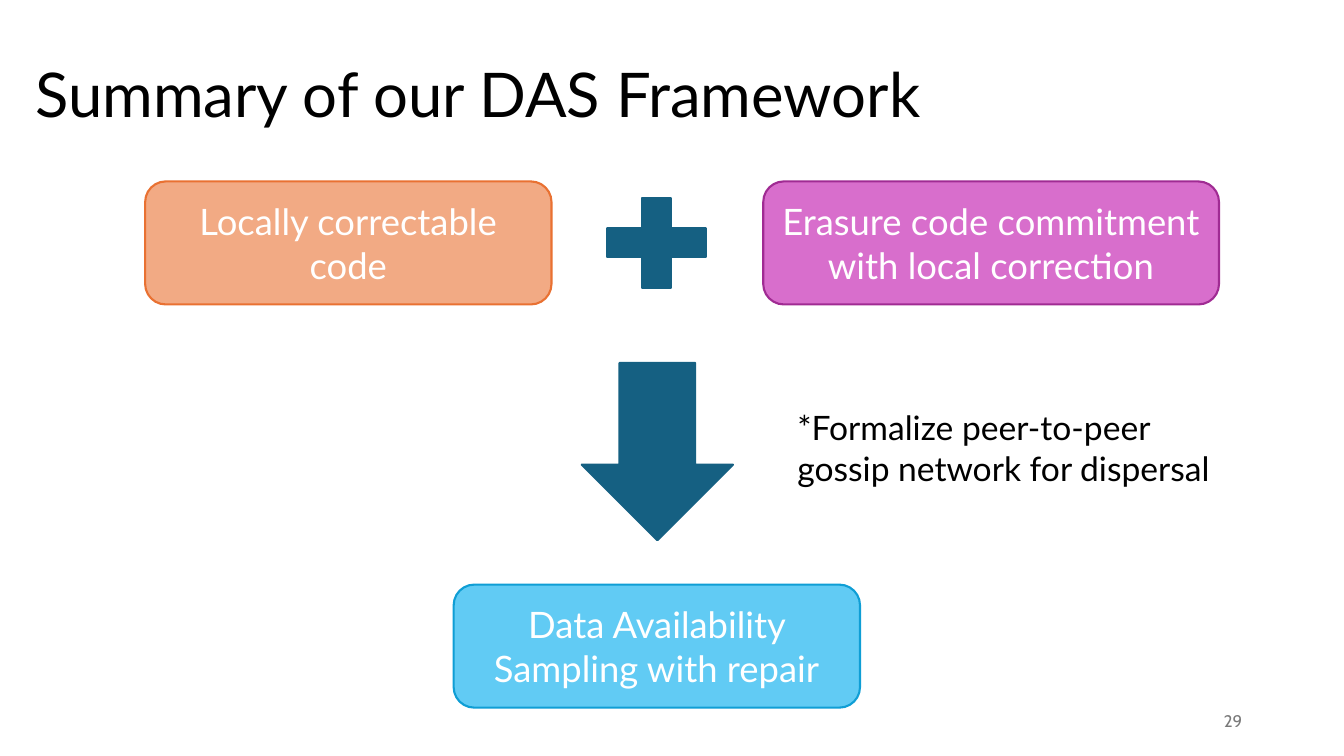
from dataclasses import dataclass

from pptx import Presentation
from pptx.dml.color import RGBColor
from pptx.enum.shapes import MSO_SHAPE
from pptx.enum.text import MSO_ANCHOR, MSO_AUTO_SIZE, PP_ALIGN
from pptx.shapes.autoshape import Shape
from pptx.slide import Slide
from pptx.util import Emu, Pt

EMU_PER_PX = 9144  # 100 px to the inch
DARK_TEAL = "156082"


@dataclass(frozen=True)
class Box:
    left: int
    top: int
    width: int
    height: int

    def emu(self) -> tuple[Emu, Emu, Emu, Emu]:
        return px(self.left), px(self.top), px(self.width), px(self.height)


@dataclass(frozen=True)
class Block:
    kind: MSO_SHAPE
    box: Box
    fill: str
    line: str
    text: str = ""


BLOCKS = [
    Block(MSO_SHAPE.ROUNDED_RECTANGLE, Box(144, 180, 403, 122),
          "F2AA84", "E97132", "Locally correctable code"),
    Block(MSO_SHAPE.ROUNDED_RECTANGLE, Box(757, 180, 452, 122),
          "D86ECC", "A02B93", "Erasure code commitment with local correction"),
    Block(MSO_SHAPE.MATH_PLUS, Box(584, 180, 134, 122), DARK_TEAL, DARK_TEAL),
    Block(MSO_SHAPE.DOWN_ARROW, Box(577, 360, 150, 176), DARK_TEAL, DARK_TEAL),
    Block(MSO_SHAPE.ROUNDED_RECTANGLE, Box(450, 580, 403, 122),
          "61CBF4", "0F9ED5", "Data Availability Sampling with repair"),
]


def px(length: int) -> Emu:
    return Emu(length * EMU_PER_PX)


def color(value: str) -> RGBColor:
    return RGBColor.from_string(value)


def write_text(shape: Shape, text: str, *, size: int, font: str = "Lato",
               fill: str = "000000", align: PP_ALIGN = PP_ALIGN.LEFT,
               anchor: MSO_ANCHOR = MSO_ANCHOR.MIDDLE,
               line_spacing: float = 1.0,
               auto_size: MSO_AUTO_SIZE = MSO_AUTO_SIZE.NONE) -> None:
    frame = shape.text_frame
    frame.word_wrap = True
    frame.auto_size = auto_size
    frame.vertical_anchor = anchor
    paragraph = frame.paragraphs[0]
    paragraph.alignment = align
    paragraph.line_spacing = line_spacing
    run = paragraph.add_run()
    run.text = text
    run.font.size = Pt(size)
    run.font.name = font
    run.font.color.rgb = color(fill)


def add_block(slide: Slide, block: Block) -> None:
    shape = slide.shapes.add_shape(block.kind, *block.box.emu())
    shape.shadow.inherit = False
    shape.fill.solid()
    shape.fill.fore_color.rgb = color(block.fill)
    shape.line.color.rgb = color(block.line)
    shape.line.width = Pt(1.5)
    if block.text:
        write_text(shape, block.text, size=26, fill="FFFFFF",
                   align=PP_ALIGN.CENTER)


def add_text_box(slide: Slide, box: Box) -> Shape:
    return slide.shapes.add_textbox(*box.emu())


def main() -> None:
    presentation = Presentation()
    presentation.slide_width, presentation.slide_height = px(1333), px(750)
    slide = presentation.slides.add_slide(presentation.slide_layouts[5])

    # Title
    title = slide.shapes.title
    title.left, title.top, title.width, title.height = Box(25, 24, 1150, 145).emu()
    write_text(title, "Summary of our DAS Framework", size=44, line_spacing=0.9)

    # Two ingredients, the plus, the arrow and the result
    for block in BLOCKS:
        add_block(slide, block)

    # Remark beside the arrow
    remark = add_text_box(slide, Box(781, 399, 441, 91))
    write_text(remark, "*Formalize peer-to-peer gossip network for dispersal",
               size=24, anchor=MSO_ANCHOR.TOP,
               auto_size=MSO_AUTO_SIZE.SHAPE_TO_FIT_TEXT)

    # Slide number
    number = add_text_box(slide, Box(942, 695, 300, 40))
    write_text(number, "29", size=12, font="Cabin", fill="797979",
               align=PP_ALIGN.RIGHT)

    presentation.save("out.pptx")


if __name__ == "__main__":
    main()
